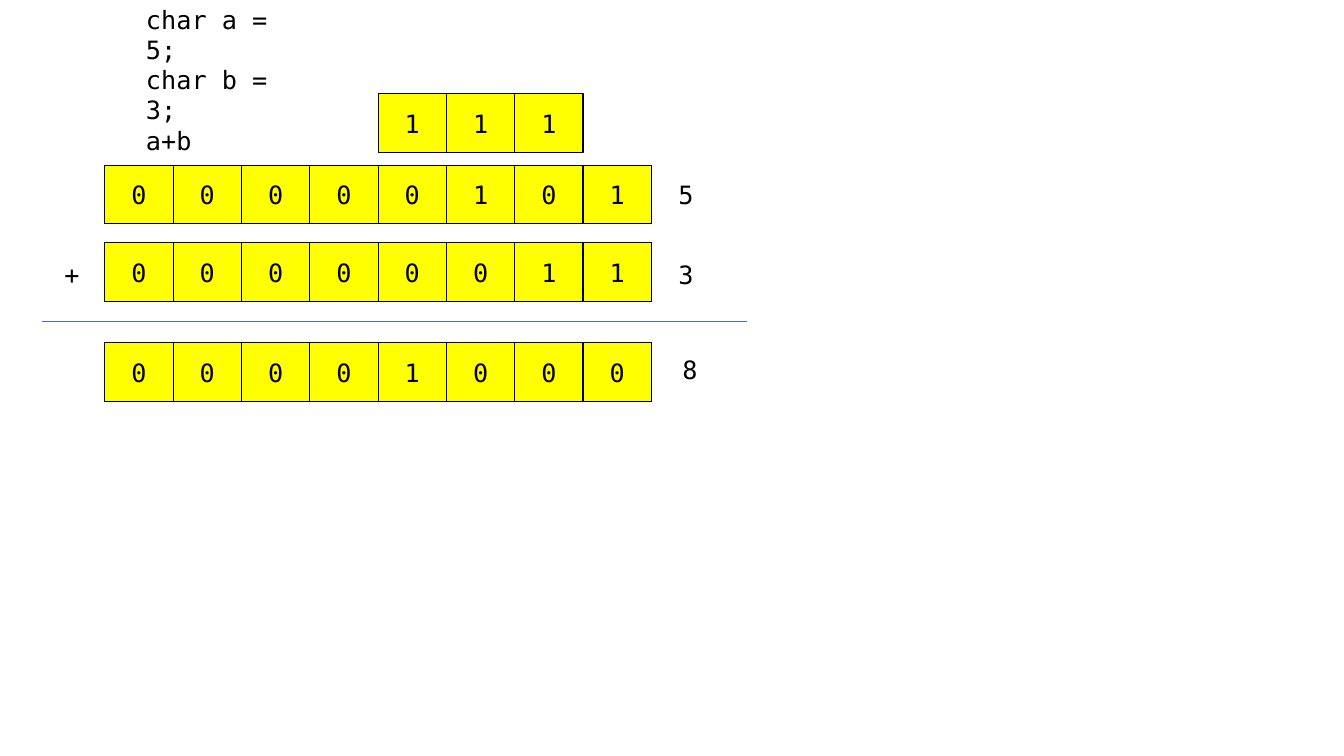
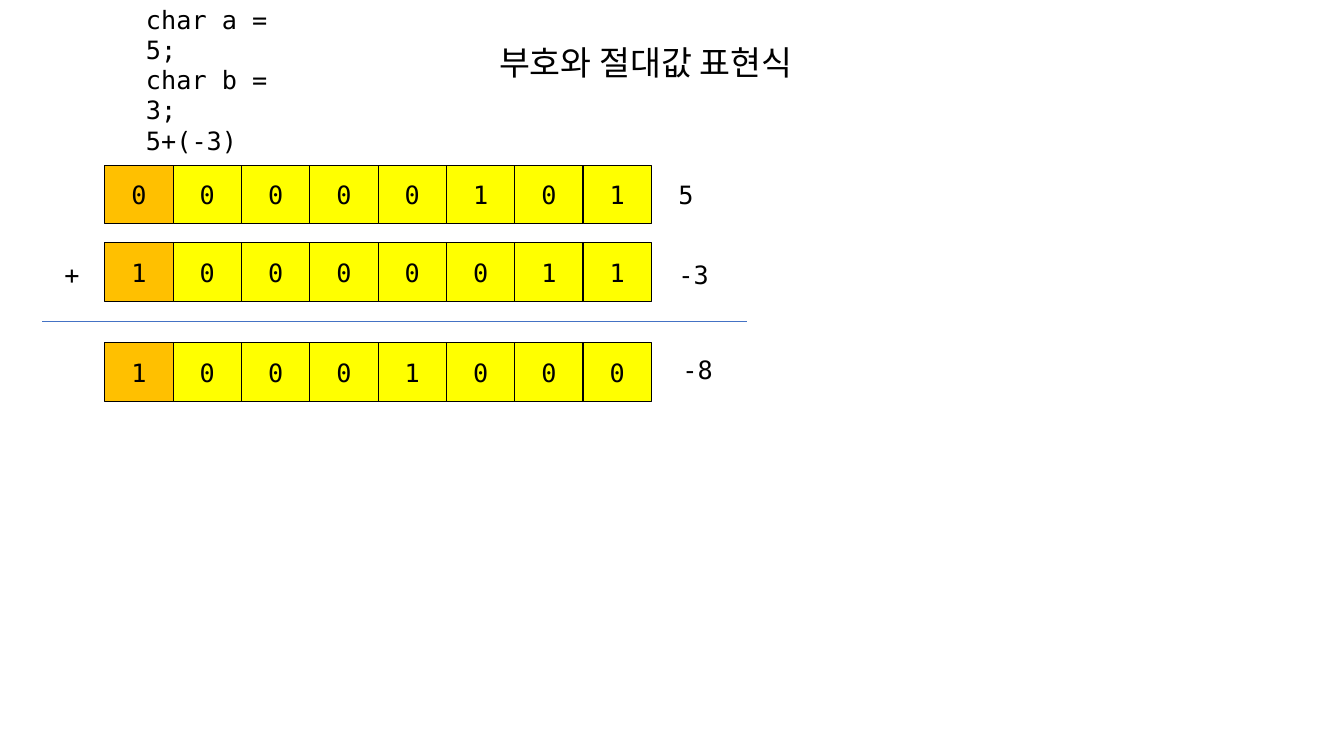
import pptx
import pptx.util
from pptx.dml.color import RGBColor
from pptx.enum.shapes import MSO_CONNECTOR, MSO_SHAPE
from pptx.enum.text import MSO_ANCHOR, MSO_AUTO_SIZE, PP_ALIGN
from pptx.oxml.ns import qn
from lxml import etree

Inches, Pt = pptx.util.Inches, pptx.util.Pt

FONT = "DejaVu Sans Mono"
BLACK = RGBColor(0, 0, 0)
BLUE = RGBColor(0x44, 0x72, 0xC4)
YELLOW = RGBColor(0xFF, 0xFF, 0)
ORANGE = RGBColor(0xFF, 0xC0, 0)

# bits and value of both terms, then of the sum
SLIDES = [
    dict(title=None, code=["char a = 5;", "char b = 3;", "a+b"],
         carry="111", sign=YELLOW,
         rows=[("00000101", "5"), ("00000011", "3"), ("00001000", "8")]),
    dict(title="부호와 절대값 표현식",
         code=["char a = 5;", "char b = 3;", "5+(-3)"],
         carry="", sign=ORANGE,
         rows=[("00000101", "5"), ("10000011", "-3"), ("10001000", "-8")]),
]

LEFT, BITS = 1.04, 8
CELL_W, CELL_H = 5.42 / BITS, 0.58
TOPS = [1.64, 2.41, 3.4]
LABELS = [(6.63, 1.73), (6.63, 2.52), (6.67, 3.47)]
CARRY_COL, CARRY_TOP = 4, 0.93


def style(frame, lines, size=18, align=PP_ALIGN.LEFT):
    frame.text = "\n".join(lines)
    frame.word_wrap = True
    for par in frame.paragraphs:
        par.alignment = align
        par.font.name, par.font.size = FONT, Pt(size)
        par.font.color.rgb = BLACK


def add_text(slide, lines, *place):
    frame = slide.shapes.add_textbox(*map(Inches, place)).text_frame
    style(frame, lines)
    frame.auto_size = MSO_AUTO_SIZE.SHAPE_TO_FIT_TEXT


def add_bits(slide, bits, top, col=0, sign=YELLOW):
    """Draw a row of bit cells from column col; sign fills column 0."""
    for i, bit in enumerate(bits, col):
        cell = slide.shapes.add_shape(
            MSO_SHAPE.RECTANGLE, Inches(LEFT + i * CELL_W), Inches(top),
            Inches(CELL_W), Inches(CELL_H))
        cell.shadow.inherit = False
        cell.fill.solid()
        cell.fill.fore_color.rgb = YELLOW if i else sign
        cell.line.color.rgb, cell.line.width = BLACK, Pt(0.75)
        cell.text_frame.vertical_anchor = MSO_ANCHOR.MIDDLE
        style(cell.text_frame, [bit], align=PP_ALIGN.CENTER)


def add_rule(slide):
    rule = slide.shapes.add_connector(
        MSO_CONNECTOR.STRAIGHT, *map(Inches, (0.42, 3.19, 7.41, 3.19)))
    rule.line.color.rgb, rule.line.width = BLUE, Pt(0.5)
    etree.SubElement(rule._element.spPr, qn("a:effectLst"))


def add_title(slide, text):
    title = slide.shapes.title
    title.left, title.top, title.width, title.height = map(
        Inches, (4.85, 0.37, 3.6, 0.5))
    style(title.text_frame, [text], size=24)
    title.text_frame.vertical_anchor = MSO_ANCHOR.TOP
    title.text_frame.auto_size = MSO_AUTO_SIZE.SHAPE_TO_FIT_TEXT


def main():
    deck = pptx.Presentation()
    deck.slide_width, deck.slide_height = Inches(13.33), Inches(7.5)
    for data in SLIDES:
        name = "Title Only" if data["title"] else "Blank"
        slide = deck.slides.add_slide(deck.slide_layouts.get_by_name(name))
        if data["title"]:
            add_title(slide, data["title"])
        add_text(slide, data["code"], 1.35, -0.01, 1.73, 1.01)
        for (bits, value), top, spot in zip(data["rows"], TOPS, LABELS):
            add_bits(slide, bits, top, sign=data["sign"])
            add_text(slide, [value], *spot, 1, 0.4)
        add_text(slide, ["+"], 0.54, 2.52, 0.41, 0.4)
        add_rule(slide)
        add_bits(slide, data["carry"], CARRY_TOP, CARRY_COL)
    deck.save("out.pptx")


if __name__ == "__main__":
    main()
